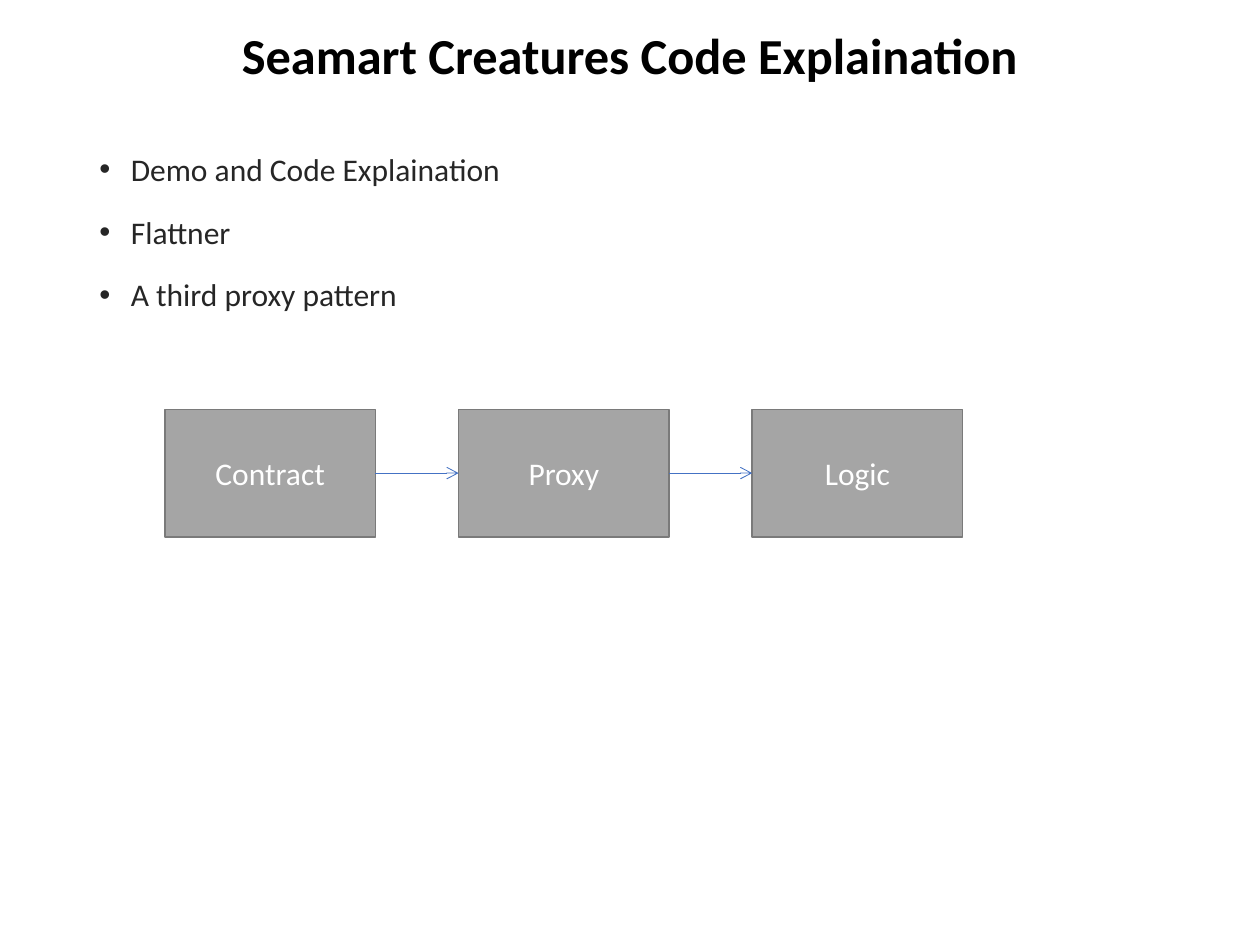
from itertools import pairwise

from lxml.etree import SubElement
from pptx import Presentation
from pptx.dml.color import RGBColor
from pptx.enum.shapes import MSO_CONNECTOR, MSO_SHAPE
from pptx.enum.text import MSO_ANCHOR, PP_ALIGN
from pptx.oxml.ns import qn
from pptx.util import Inches, Pt

RIGHT_SITE, LEFT_SITE = 3, 1


def rgb(value):
    """Turn a hex string into a colour."""
    return RGBColor.from_string(value)


def format_paragraph(p, size, color, align, bold=False):
    """Align a paragraph and format its runs."""
    p.alignment = align
    for r in p.runs:
        r.font.name = "Calibri"
        r.font.size = Pt(size)
        r.font.bold = bold
        r.font.color.rgb = rgb(color)


def add_title(s, text, left, top, width, height):
    """Place and format the title placeholder."""
    sp = s.shapes.title
    sp.left, sp.top, sp.width, sp.height = map(Inches, (left, top, width, height))
    tf = sp.text_frame
    tf.text = text
    tf.vertical_anchor = MSO_ANCHOR.MIDDLE
    p = tf.paragraphs[0]
    p.line_spacing = 0.9
    format_paragraph(p, 28.8, "000000", PP_ALIGN.CENTER, bold=True)


def add_bullets(s, items, left, top, width, height):
    """Add a bulleted list."""
    sp = s.shapes.add_textbox(*map(Inches, (left, top, width, height)))
    tf = sp.text_frame
    tf.word_wrap = True
    tf.text = "\n".join(items)
    for p in tf.paragraphs:
        p.line_spacing = 1.2
        p.space_before = Pt(10)
        format_paragraph(p, 18, "262626", PP_ALIGN.LEFT)
        pPr = p._p.get_or_add_pPr()
        pPr.set("marL", str(Inches(0.25)))
        pPr.set("indent", str(Inches(-0.25)))
        SubElement(pPr, qn("a:buFont")).set("typeface", "Arial")
        SubElement(pPr, qn("a:buChar")).set("char", "•")


def add_box(s, text, left, top, width, height):
    """Add one labelled step of the flow."""
    sp = s.shapes.add_shape(MSO_SHAPE.RECTANGLE, *map(Inches, (left, top, width, height)))
    sp.shadow.inherit = False
    sp.fill.solid()
    sp.fill.fore_color.rgb = rgb("A5A5A5")
    sp.line.color.rgb = rgb("7A7A7A")
    sp.line.width = Pt(1)
    tf = sp.text_frame
    tf.text = text
    tf.vertical_anchor = MSO_ANCHOR.MIDDLE
    format_paragraph(tf.paragraphs[0], 18, "FFFFFF", PP_ALIGN.CENTER)
    return sp


def add_arrow(s, start, end):
    """Join two boxes with an open-headed arrow."""
    arrow = s.shapes.add_connector(MSO_CONNECTOR.STRAIGHT, 0, 0, 0, 0)
    arrow.begin_connect(start, RIGHT_SITE)
    arrow.end_connect(end, LEFT_SITE)
    arrow.line.color.rgb = rgb("4472C4")
    arrow.line.width = Pt(0.5)
    SubElement(arrow.line._get_or_add_ln(), qn("a:tailEnd")).set("type", "arrow")
    SubElement(arrow._element.spPr, qn("a:effectLst"))


def add_flow(s, labels, left, top, width, height, gap=0.66):
    """Spread equal boxes over the width and link neighbours."""
    box_width = (width - gap * (len(labels) - 1)) / len(labels)
    boxes = [
        add_box(s, label, left + i * (box_width + gap), top, box_width, height)
        for i, label in enumerate(labels)
    ]
    for start, end in pairwise(boxes):
        add_arrow(s, start, end)


def main():
    """Build and save the slide."""
    prs = Presentation()
    prs.slide_width, prs.slide_height = Inches(10), Inches(7.5)
    s = prs.slides.add_slide(prs.slide_layouts[5])
    add_title(s, "Seamart Creatures Code Explaination", 0.69, 0.17, 8.62, 0.58)
    bullets = ["Demo and Code Explaination", "Flattner", "A third proxy pattern"]
    add_bullets(s, bullets, 0.69, 1.08, 8.62, 6.13)
    add_flow(s, ["Contract", "Proxy", "Logic"], 1.31, 3.25, 6.33, 1.01)
    prs.save("out.pptx")


if __name__ == "__main__":
    main()
